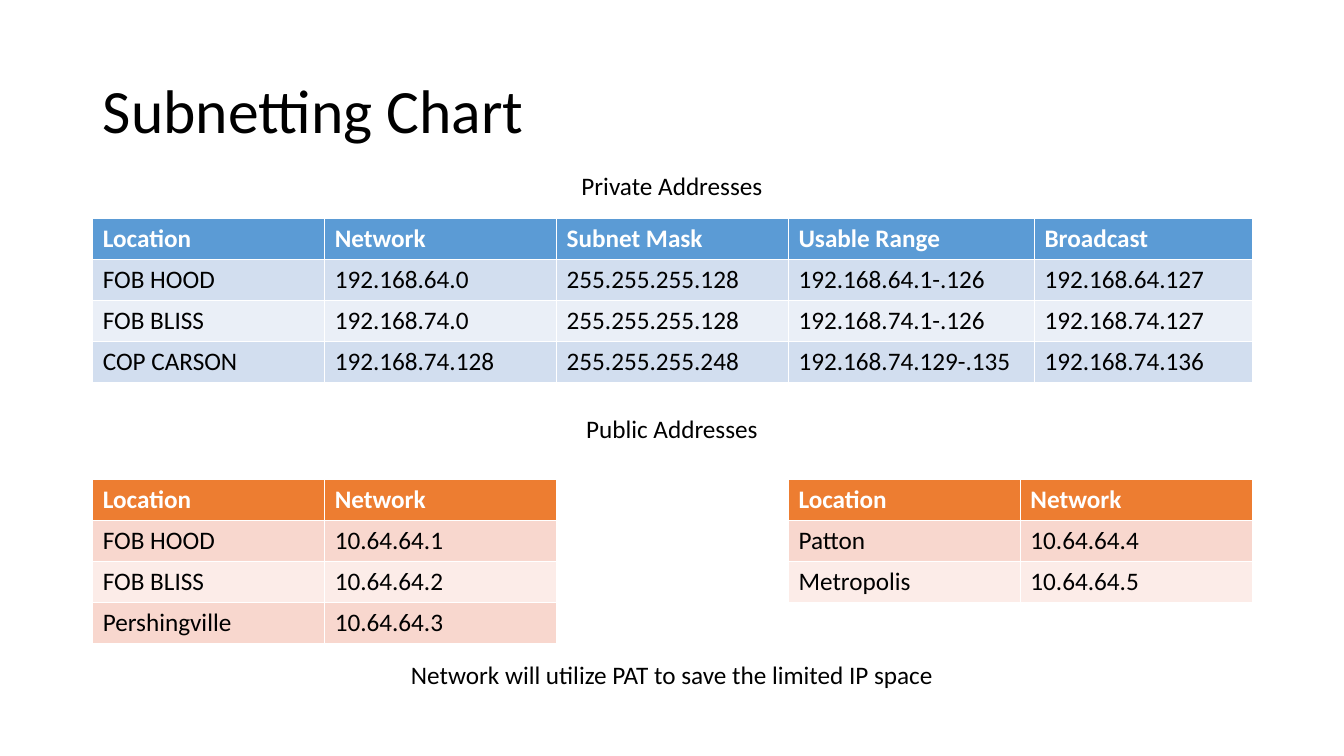
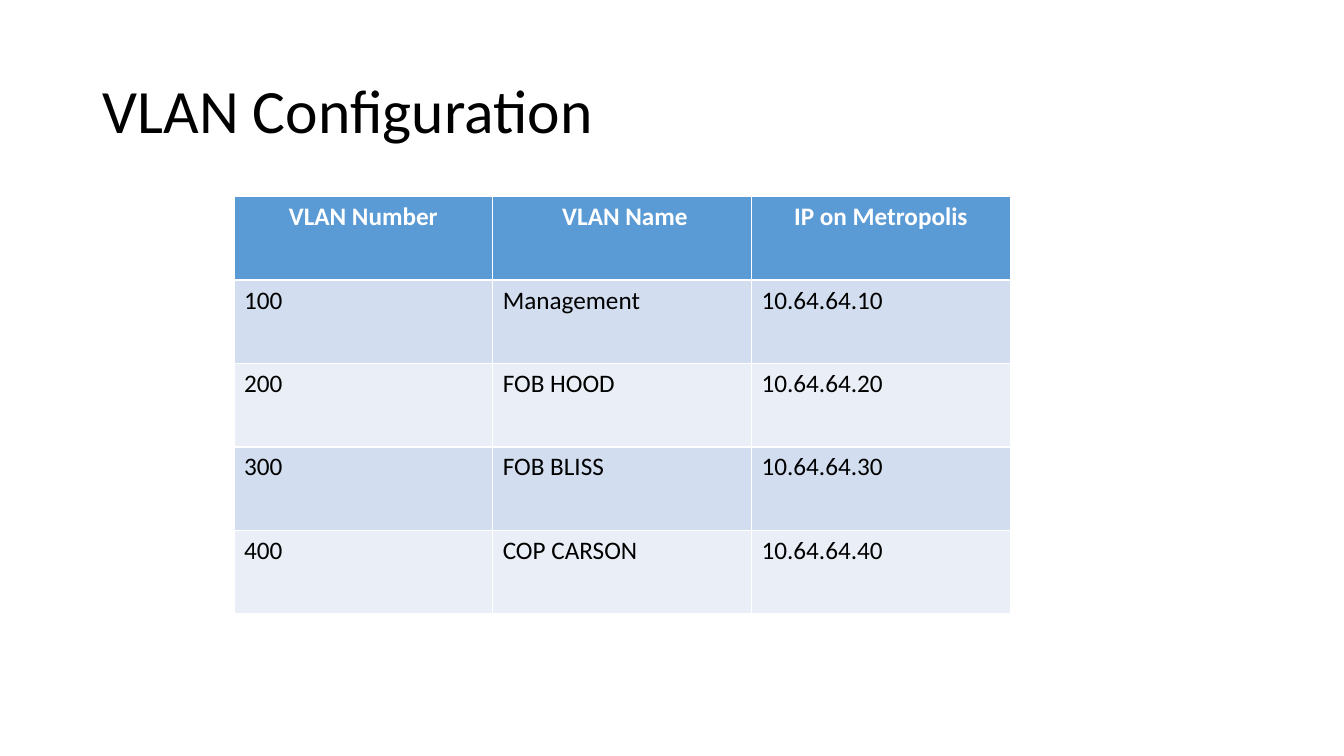
"""Build the subnetting and VLAN tables as a two-slide deck."""
from collections import namedtuple

from pptx import Presentation
from pptx.dml.color import RGBColor
from pptx.enum.text import MSO_ANCHOR, PP_ALIGN
from pptx.util import Inches, Pt

BLACK = RGBColor(0x00, 0x00, 0x00)
WHITE = RGBColor(0xFF, 0xFF, 0xFF)
Palette = namedtuple("Palette", "head odd even")
BLUE = Palette(RGBColor(0x5B, 0x9B, 0xD5), RGBColor(0xD2, 0xDE, 0xEF),
               RGBColor(0xEA, 0xEF, 0xF7))
ORANGE = Palette(RGBColor(0xED, 0x7D, 0x31), RGBColor(0xF8, 0xD7, 0xCE),
                 RGBColor(0xFC, 0xEC, 0xE8))

FONT = "Calibri"
WIDTH, HEIGHT = Inches(13.33), Inches(7.5)
MARGIN = Inches(0.92)
COL = Inches(2.3)
ROW = Inches(0.406)
CONTENT_W = 5 * COL
CAPTION_W = Inches(11.81)

PRIVATE = [
    ("Location", "Network", "Subnet Mask", "Usable Range", "Broadcast"),
    ("FOB HOOD", "192.168.64.0", "255.255.255.128", "192.168.64.1-.126", "192.168.64.127"),
    ("FOB BLISS", "192.168.74.0", "255.255.255.128", "192.168.74.1-.126", "192.168.74.127"),
    ("COP CARSON", "192.168.74.128", "255.255.255.248", "192.168.74.129-.135", "192.168.74.136"),
]
PUBLIC_BASES = [
    ("Location", "Network"),
    ("FOB HOOD", "10.64.64.1"),
    ("FOB BLISS", "10.64.64.2"),
    ("Pershingville", "10.64.64.3"),
]
PUBLIC_CITIES = [
    ("Location", "Network"),
    ("Patton", "10.64.64.4"),
    ("Metropolis", "10.64.64.5"),
]
VLANS = [
    ("VLAN Number", " VLAN Name", "IP on Metropolis"),
    ("100", "Management", "10.64.64.10"),
    ("200", "FOB HOOD", "10.64.64.20"),
    ("300", "FOB BLISS", "10.64.64.30"),
    ("400", "COP CARSON", "10.64.64.40"),
]


def add_text(tf, text, size=18, color=BLACK, bold=False, align=PP_ALIGN.LEFT):
    p = tf.paragraphs[0]
    p.alignment = align
    r = p.add_run()
    r.text = text
    r.font.name, r.font.size, r.font.bold = FONT, Pt(size), bold
    r.font.color.rgb = color
    return p


def add_titled_slide(prs, title):
    s = prs.slides.add_slide(prs.slide_layouts.get_by_name("Title Only"))
    sp = s.shapes.title
    sp.left, sp.top, sp.width, sp.height = MARGIN, Inches(0.4), CONTENT_W, Inches(1.45)
    sp.text_frame.vertical_anchor = MSO_ANCHOR.MIDDLE
    add_text(sp.text_frame, title, size=44).line_spacing = 0.9
    return s


def add_caption(s, text, top, width=CAPTION_W):
    left = (WIDTH - width) // 2
    tf = s.shapes.add_textbox(left, top, width, Inches(0.4)).text_frame
    tf.word_wrap = True
    add_text(tf, text, align=PP_ALIGN.CENTER)


def add_grid(s, rows, left, top, widths, row_h, palette, head_align=PP_ALIGN.LEFT):
    table = s.shapes.add_table(len(rows), len(widths), left, top,
                               sum(widths), row_h * len(rows)).table
    for column, width in zip(table.columns, widths):
        column.width = width
    for i, values in enumerate(rows):
        table.rows[i].height = row_h
        head = i == 0
        fill = palette.head if head else palette.odd if i % 2 else palette.even
        for cell, value in zip(table.rows[i].cells, values):
            cell.fill.solid()
            cell.fill.fore_color.rgb = fill
            add_text(cell.text_frame, value, color=WHITE if head else BLACK,
                     bold=head, align=head_align if head else PP_ALIGN.LEFT)


def build_subnetting(prs):
    s = add_titled_slide(prs, "Subnetting Chart")
    private_cols = [COL] * 3 + [Inches(2.44), Inches(2.16)]
    add_grid(s, PRIVATE, MARGIN, Inches(2.17), private_cols, ROW, BLUE)
    add_caption(s, "Private Addresses", Inches(1.64))
    add_caption(s, "Public Addresses", Inches(4.05))
    for rows, column in ((PUBLIC_BASES, 0), (PUBLIC_CITIES, 3)):
        add_grid(s, rows, MARGIN + column * COL, Inches(4.76), [COL] * 2, ROW, ORANGE)
    add_caption(s, "Network will utilize PAT to save the limited IP space",
                Inches(6.49), Inches(6.21))


def build_vlans(prs):
    s = add_titled_slide(prs, "VLAN Configuration")
    add_grid(s, VLANS, Inches(2.32), Inches(1.95), [Inches(7.7) // 3] * 3,
             Inches(4.14) // len(VLANS), BLUE, PP_ALIGN.CENTER)


def main():
    prs = Presentation()
    prs.slide_width, prs.slide_height = WIDTH, HEIGHT
    build_subnetting(prs)
    build_vlans(prs)
    prs.save("out.pptx")


main()
